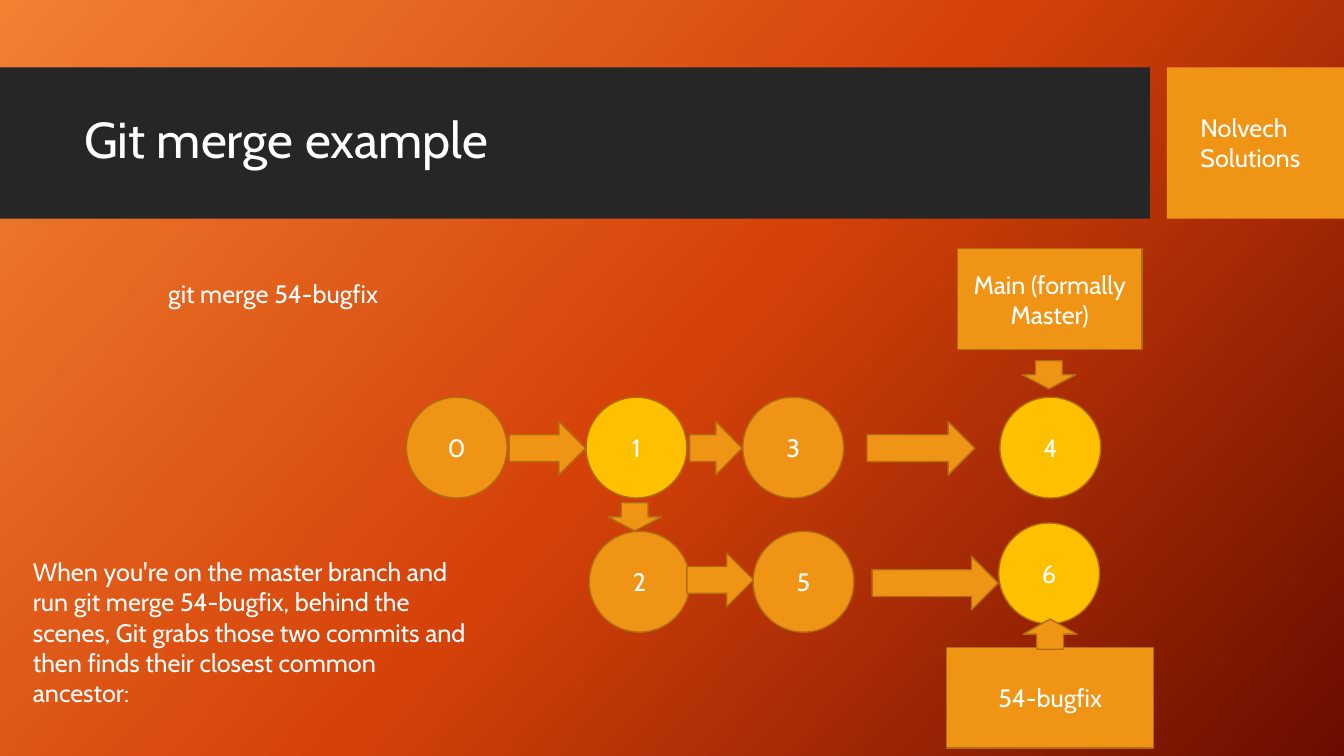
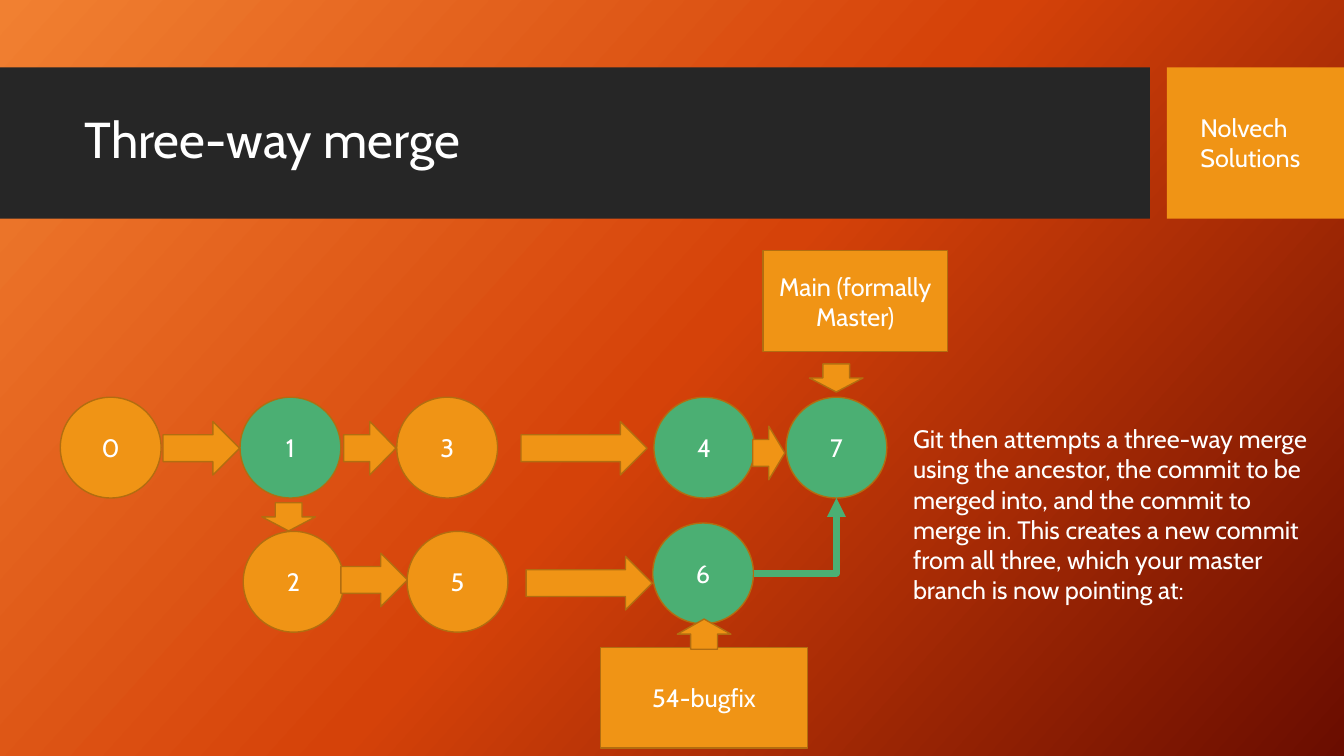
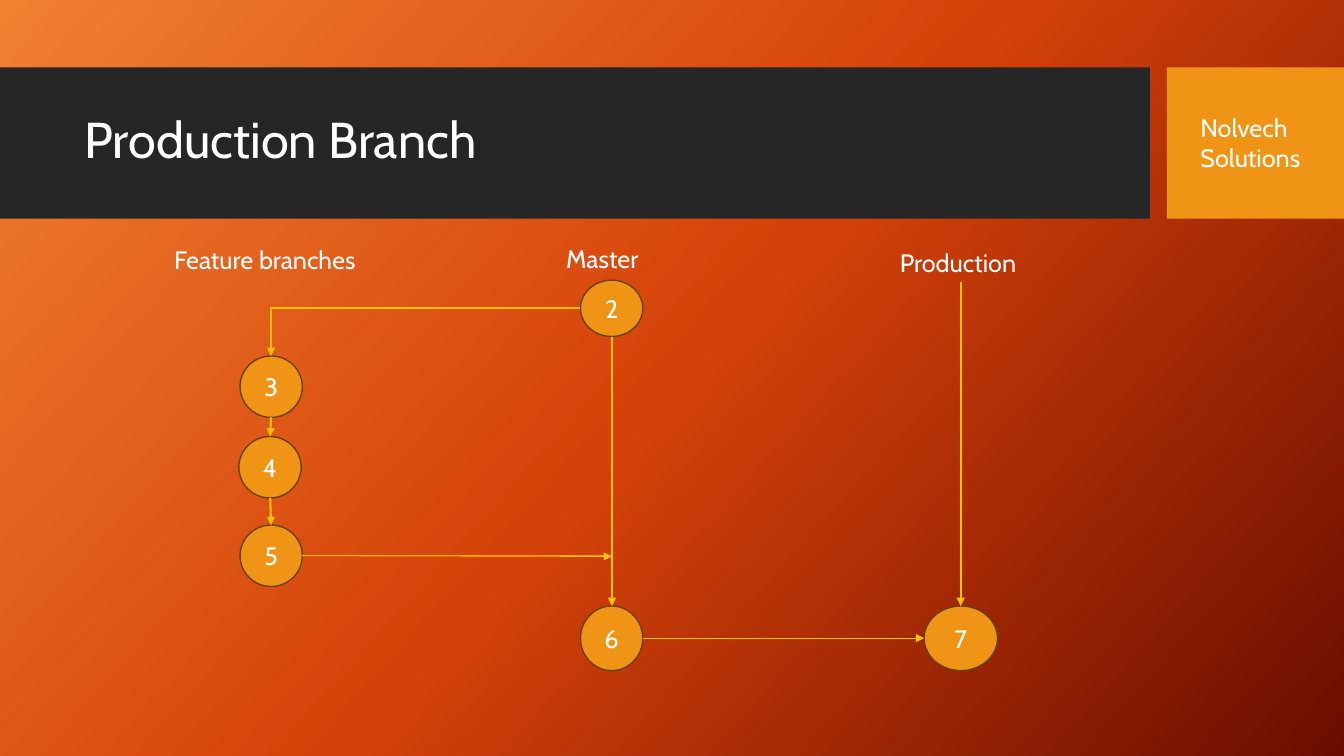
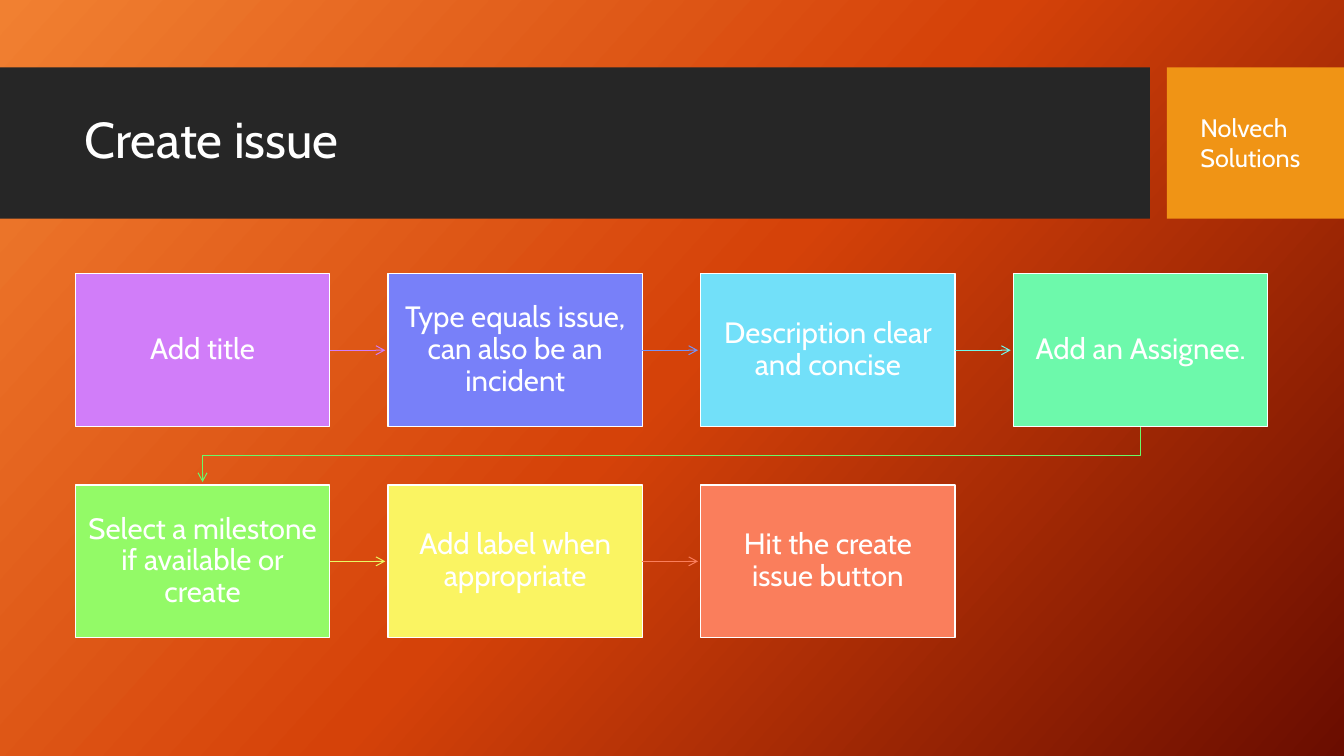
from copy import deepcopy
from dataclasses import dataclass

from pptx import Presentation
from pptx import util as u
from pptx.dml.color import RGBColor
from pptx.enum import shapes, text
from pptx.oxml.ns import qn
from pptx.shapes.autoshape import Shape
from pptx.shapes.connector import Connector
from pptx.slide import Slide
from pptx.text.text import TextFrame

FONT = "Cabin"
WHITE = RGBColor(0xFF, 0xFF, 0xFF)
CHARCOAL = RGBColor(0x26, 0x26, 0x26)
ORANGE = RGBColor(0xF0, 0x94, 0x15)
BRONZE = RGBColor(0xB2, 0x6D, 0x10)
BROWN = RGBColor(0x69, 0x41, 0x09)
GOLD = RGBColor(0xFF, 0xC0, 0x00)
GREEN = RGBColor(0x4B, 0xAF, 0x73)
BACKGROUND = [
    RGBColor(0xF1, 0x80, 0x31),
    RGBColor(0xD5, 0x42, 0x09),
    RGBColor(0x6A, 0x0D, 0x00),
]

RECTANGLE = shapes.MSO_SHAPE.RECTANGLE
OVAL = shapes.MSO_SHAPE.OVAL
RIGHT = shapes.MSO_SHAPE.RIGHT_ARROW
DOWN = shapes.MSO_SHAPE.DOWN_ARROW
UP = shapes.MSO_SHAPE.UP_ARROW

COMMIT_SIZE = 2.54
MAIN_ROW, BUGFIX_ROW = 10.01, 13.39
ARROW_BREADTH = 1.35


@dataclass(frozen=True)
class Box:
    left: float
    top: float
    width: float
    height: float

    def lengths(self) -> tuple[u.Cm, u.Cm, u.Cm, u.Cm]:
        return u.Cm(self.left), u.Cm(self.top), u.Cm(self.width), u.Cm(self.height)


@dataclass(frozen=True)
class Commit:
    label: str
    left: float
    top: float
    merged: bool = False


@dataclass(frozen=True)
class BlockArrow:
    kind: shapes.MSO_SHAPE
    box: Box


@dataclass(frozen=True)
class Link:
    start: tuple[float, float]
    end: tuple[float, float]
    color: RGBColor = GOLD
    width: float = 1.5
    head: str | None = "triangle"
    bent: bool = False


@dataclass(frozen=True)
class Step:
    label: str
    fill: RGBColor
    arrow: RGBColor | None = None


COMMITS = [
    Commit("0", 1.52, MAIN_ROW),
    Commit("1", 6.05, MAIN_ROW, True),
    Commit("3", 10, MAIN_ROW),
    Commit("4", 16.48, MAIN_ROW, True),
    Commit("2", 6.13, BUGFIX_ROW),
    Commit("5", 10.26, BUGFIX_ROW),
    Commit("6", 16.45, 13.18, True),
]

HISTORY_ARROWS = [
    BlockArrow(RIGHT, Box(4.11, 10.62, 1.93, ARROW_BREADTH)),
    BlockArrow(RIGHT, Box(8.66, 10.62, 1.32, ARROW_BREADTH)),
    BlockArrow(RIGHT, Box(8.59, 13.94, 1.68, ARROW_BREADTH)),
    BlockArrow(RIGHT, Box(13.26, 14.02, 3.18, ARROW_BREADTH)),
    BlockArrow(DOWN, Box(6.6, 12.67, ARROW_BREADTH, 0.71)),
    BlockArrow(UP, Box(17.07, 15.6, ARROW_BREADTH, 0.76)),
]

BRANCH_LABELS = {
    "Feature branches": Box(4.14, 6.02, 5.51, 1.02),
    "Master": Box(14.02, 5.99, 2.41, 1.02),
    "Production": Box(22.43, 6.1, 3.58, 1.02),
}

BRANCH_COMMITS = {
    "4": Box(6.02, 11, 1.57, 1.55),
    "3": Box(6.05, 8.97, 1.57, 1.55),
    "5": Box(6.05, 13.23, 1.57, 1.55),
    "6": Box(14.63, 15.27, 1.57, 1.63),
    "7": Box(23.29, 15.27, 1.85, 1.63),
    "2": Box(14.63, 7.06, 1.57, 1.42),
}

BRANCH_LINKS = [
    Link((24.21, 7.11), (24.21, 15.27)),
    Link((15.42, 8.48), (15.42, 15.27)),
    Link((14.63, 7.77), (6.83, 8.97), bent=True),
    Link((6.83, 10.52), (6.81, 11)),
    Link((6.81, 12.55), (6.83, 13.23)),
    Link((7.62, 14), (15.42, 14), ORANGE, 0.75, None),
    Link((7.62, 14), (15.42, 14.02), width=0.75),
    Link((16.2, 16.08), (23.29, 16.08), width=0.75),
]

STEPS = [
    Step("Add title", RGBColor(0xD1, 0x7D, 0xF9), RGBColor(0xD1, 0x7D, 0xF9)),
    Step("Type equals issue, can also be an incident",
         RGBColor(0x78, 0x80, 0xF9), RGBColor(0x76, 0x93, 0xF9)),
    Step("Description clear and concise",
         RGBColor(0x72, 0xE0, 0xF9), RGBColor(0x70, 0xF9, 0xEB)),
    Step("Add an Assignee.", RGBColor(0x6D, 0xF9, 0xAB), RGBColor(0x69, 0xF9, 0x69)),
    Step("Select a milestone if available or create",
         RGBColor(0x93, 0xFA, 0x67), RGBColor(0xE9, 0xFA, 0x63)),
    Step("Add label when appropriate",
         RGBColor(0xFA, 0xF4, 0x62), RGBColor(0xFA, 0x7E, 0x5C)),
    Step("Hit the create issue button", RGBColor(0xFA, 0x7E, 0x5C)),
]


def write_text(
    frame: TextFrame,
    words: str,
    *,
    size: float = 18,
    align: text.PP_ALIGN = text.PP_ALIGN.LEFT,
    anchor: text.MSO_ANCHOR = text.MSO_ANCHOR.TOP,
    spacing: float = 1.0,
    wrap: bool = True,
    insets: tuple[float, float] = (0.25, 0.13),
) -> None:
    frame.word_wrap = wrap
    frame.vertical_anchor = anchor
    frame.margin_left = frame.margin_right = u.Cm(insets[0])
    frame.margin_top = frame.margin_bottom = u.Cm(insets[1])
    para = frame.paragraphs[0]
    para.alignment = align
    para.line_spacing = spacing
    span = para.add_run()
    span.text = words
    span.font.name = FONT
    span.font.size = u.Pt(size)
    span.font.color.rgb = WHITE


def add_label(page: Slide, words: str, box: Box, **style) -> None:
    write_text(page.shapes.add_textbox(*box.lengths()).text_frame, words, **style)


def add_block(
    page: Slide,
    kind: shapes.MSO_SHAPE,
    box: Box,
    words: str = "",
    fill: RGBColor = ORANGE,
    line: RGBColor | None = BRONZE,
    **style,
) -> Shape:
    block = page.shapes.add_shape(kind, *box.lengths())
    block.shadow.inherit = False
    block.fill.solid()
    block.fill.fore_color.rgb = fill
    if line is None:
        block.line.fill.background()
    else:
        block.line.color.rgb = line
        block.line.width = u.Pt(1)
    if words:
        write_text(block.text_frame, words, align=text.PP_ALIGN.CENTER,
                   anchor=text.MSO_ANCHOR.MIDDLE, **style)
    return block


def style_line(
    shape: Shape | Connector, color: RGBColor, width: float, head: str | None
) -> None:
    shape.line.color.rgb = color
    shape.line.width = u.Pt(width)
    if head:
        outline = shape.line._get_or_add_ln()
        tail = outline.makeelement(qn("a:tailEnd"), {"type": head})
        outline.append(tail)


def add_link(page: Slide, link: Link) -> None:
    kind = shapes.MSO_CONNECTOR.ELBOW if link.bent else shapes.MSO_CONNECTOR.STRAIGHT
    points = [u.Cm(value) for value in link.start + link.end]
    connector = page.shapes.add_connector(kind, *points)
    style_line(connector, link.color, link.width, link.head)
    properties = connector._element.spPr
    properties.append(properties.makeelement(qn("a:effectLst"), {}))
    if link.bent:
        properties.find(qn("a:prstGeom")).set("prst", "bentConnector2")


def set_background(deck: Presentation) -> None:
    master = deck.slide_master
    fill = master.background.fill
    fill.gradient()
    stops = master.element.xpath(".//p:bg//a:gsLst")[0]
    stops.append(deepcopy(stops[-1]))
    for stop, position, color in zip(fill.gradient_stops, (0, 0.5, 1), BACKGROUND):
        stop.position = position
        stop.color.rgb = color
    fill.gradient_angle = 360 - 42


def add_page(deck: Presentation, title: str) -> Slide:
    page = deck.slides.add_slide(deck.slide_layouts[6])
    add_block(page, RECTANGLE, Box(0, 1.7, 28.98, 3.81), fill=CHARCOAL, line=None)
    add_block(page, RECTANGLE, Box(29.41, 1.7, 4.46, 3.81), line=None)
    add_label(page, title, Box(1.88, 2.08, 26.7, 3), size=36, spacing=0.9,
              anchor=text.MSO_ANCHOR.MIDDLE)
    add_label(page, "Nolvech Solutions", Box(30, 2.69, 3.28, 1.8))
    return page


def add_commit(page: Slide, commit: Commit, accent: RGBColor, shift: float = 0) -> None:
    box = Box(commit.left + shift, commit.top, COMMIT_SIZE, COMMIT_SIZE)
    add_block(page, OVAL, box, commit.label, accent if commit.merged else ORANGE)


def add_history(page: Slide, shift: float, accent: RGBColor, reach: float) -> None:
    for commit in COMMITS:
        add_commit(page, commit, accent, shift)
    add_block(page, RECTANGLE, Box(15.14 + shift, 16.31, 5.21, 2.54), "54-bugfix")
    long_arrow = BlockArrow(RIGHT, Box(13.13, 10.62, reach, ARROW_BREADTH))
    for arrow in [*HISTORY_ARROWS, long_arrow]:
        box = arrow.box
        add_block(page, arrow.kind,
                  Box(box.left + shift, box.top, box.width, box.height))


def add_main_pointer(page: Slide, box_left: float, box_top: float,
                     arrow_left: float, arrow_top: float) -> None:
    add_block(page, RECTANGLE, Box(box_left, box_top, 4.65, 2.54),
              "Main (formally Master)")
    add_block(page, DOWN, Box(arrow_left, arrow_top, ARROW_BREADTH, 0.71))


def build_merge_example(deck: Presentation) -> None:
    page = add_page(deck, "Git merge example")
    add_main_pointer(page, 24.13, 6.27, 25.76, 9.09)
    add_history(page, 8.72, GOLD, 2.72)
    add_label(page, "git merge 54-bugfix", Box(3.99, 6.88, 6.15, 1.02), wrap=False)
    add_label(
        page,
        "When you're on the master branch and run git merge 54-bugfix, behind the "
        "scenes, Git grabs those two commits and then finds their closest common "
        "ancestor:",
        Box(0.58, 13.89, 11.48, 4.88),
    )


def build_three_way_merge(deck: Presentation) -> None:
    page = add_page(deck, "Three-way merge")
    add_main_pointer(page, 19.23, 6.32, 20.4, 9.17)
    add_history(page, 0, GREEN, 3.18)
    add_commit(page, Commit("7", 19.81, MAIN_ROW, True), GREEN)
    add_link(page, Link((18.99, 14.45), (21.08, 12.55), GREEN, 4.5, bent=True))
    add_block(page, RIGHT, Box(18.97, 10.74, 0.81, ARROW_BREADTH))
    add_label(
        page,
        "Git then attempts a three-way merge using the ancestor, the commit to be "
        "merged into, and the commit to merge in. This creates a new commit from all "
        "three, which your master branch is now pointing at:",
        Box(22.76, 10.54, 10.77, 6.4),
    )


def build_production_branch(deck: Presentation) -> None:
    page = add_page(deck, "Production Branch")
    for label, box in BRANCH_COMMITS.items():
        add_block(page, OVAL, box, label, line=BROWN, insets=(0, 0))
    for label, box in BRANCH_LABELS.items():
        add_label(page, label, box, wrap=False)
    for link in BRANCH_LINKS:
        add_link(page, link)


def add_return_arrow(
    page: Slide, points: list[tuple[float, float]], color: RGBColor
) -> None:
    first, *rest = [(u.Cm(x), u.Cm(y)) for x, y in points]
    builder = page.shapes.build_freeform(*first)
    builder.add_line_segments(rest, close=False)
    arrow = builder.convert_to_shape()
    arrow.shadow.inherit = False
    arrow.fill.background()
    style_line(arrow, color, 0.75, "arrow")


def build_create_issue(deck: Presentation) -> None:
    page = add_page(deck, "Create issue")
    columns, left, top = 4, 1.9, 6.9
    width, height = 6.41, 3.85
    column_step, row_step, clearance = 7.88, 5.32, 0.07
    for index, step in enumerate(STEPS):
        row, column = divmod(index, columns)
        box = Box(left + column * column_step, top + row * row_step, width, height)
        add_block(page, RECTANGLE, box, step.label, step.fill, WHITE,
                  size=21, spacing=0.9, insets=(0.3, 0.33))
        if step.arrow is None:
            continue
        if column < columns - 1:
            middle = box.top + height / 2
            start = (box.left + width, middle)
            end = (box.left + column_step - clearance, middle)
            add_link(page, Link(start, end, step.arrow, 0.75, "arrow"))
        else:
            bottom, next_top = box.top + height, box.top + row_step
            turn = (bottom + next_top) / 2
            start_x, end_x = box.left + width / 2, left + width / 2
            points = [(start_x, bottom), (start_x, turn), (end_x, turn),
                      (end_x, next_top - clearance)]
            add_return_arrow(page, points, step.arrow)


def main() -> None:
    deck = Presentation()
    deck.slide_width, deck.slide_height = u.Cm(33.87), u.Cm(19.05)
    set_background(deck)
    build_merge_example(deck)
    build_three_way_merge(deck)
    build_production_branch(deck)
    build_create_issue(deck)
    deck.save("out.pptx")


if __name__ == "__main__":
    main()
